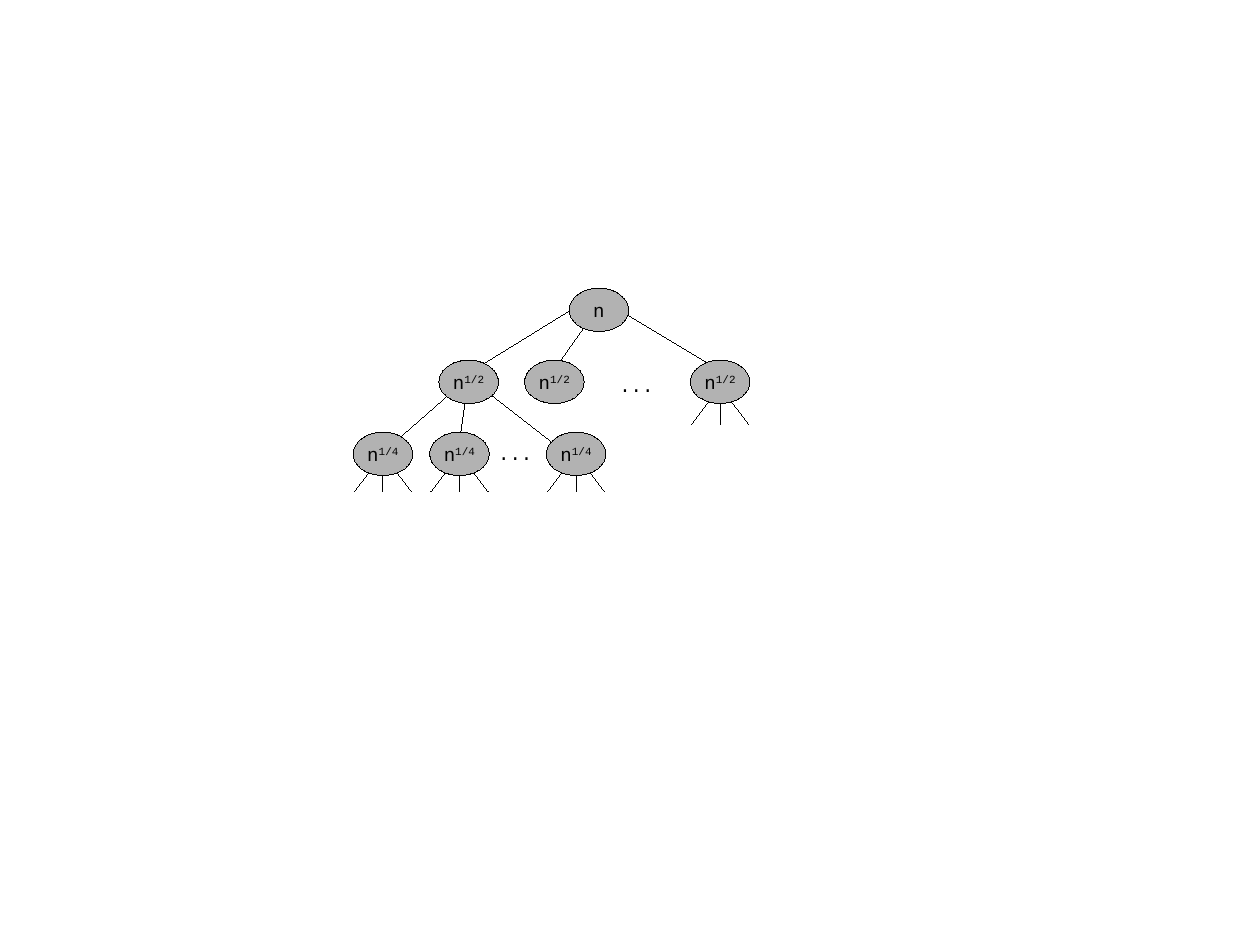
"""Draw a recursion tree whose problem size shrinks by a square root per level."""
from pptx import Presentation
from pptx.dml.color import RGBColor
from pptx.enum.shapes import MSO_CONNECTOR, MSO_SHAPE
from pptx.enum.text import MSO_ANCHOR, MSO_AUTO_SIZE, PP_ALIGN
from pptx.oxml.ns import qn
from pptx.util import Cm, Emu, Pt
from lxml.etree import SubElement

BLACK = RGBColor(0x00, 0x00, 0x00)
GRAY = RGBColor(0xB2, 0xB2, 0xB2)
PX = 9144
NODE_W, NODE_H = 52, 38

prs = Presentation()
prs.slide_width, prs.slide_height = Cm(28), Cm(21)
s = prs.slides.add_slide(prs.slide_layouts[6])


def add_line(shapes, x1, y1, x2, y2):
    ends = [Emu(v * PX) for v in (x1, y1, x2, y2)]
    line = shapes.add_connector(MSO_CONNECTOR.STRAIGHT, *ends)
    line.line.color.rgb = BLACK
    spPr = line._element.spPr
    spPr.find(qn("a:ln")).set("w", "0")
    SubElement(spPr, qn("a:effectLst"))


def style_runs(p):
    for r in p.runs:
        r.font.size = Pt(12)
        r.font.name = "Courier New"
        r.font.color.rgb = BLACK


for x, y in [(630, 338), (504, 397), (402, 397), (335, 397)]:
    stubs = s.shapes.add_group_shape()
    for dx in (-25, 0, 25):
        add_line(stubs.shapes, x + dx, y + 33, x, y)

edges = [
    (500, 400, 410, 330),
    (400, 400, 410, 330),
    (330, 400, 410, 330),
    (640, 330, 540, 270),
    (480, 330, 514, 282),
    (420, 320, 498, 272),
]
for edge in edges:
    add_line(s.shapes, *edge)

levels = [
    (252, "", [498]),
    (315, "1/2", [384, 459, 604]),
    (378, "1/4", [309, 376, 478]),
]
for top, exponent, lefts in levels:
    for left in lefts:
        sp = s.shapes.add_shape(MSO_SHAPE.OVAL, Emu(left * PX), Emu(top * PX),
                                Emu(NODE_W * PX), Emu(NODE_H * PX))
        sp.shadow.inherit = False
        sp.fill.solid()
        sp.fill.fore_color.rgb = GRAY
        sp.line.color.rgb = BLACK
        sp._element.spPr.find(qn("a:ln")).set("w", "0")
        tf = sp.text_frame
        tf.word_wrap = False
        tf.vertical_anchor = MSO_ANCHOR.MIDDLE
        tf.text = "n"
        p = tf.paragraphs[0]
        p.alignment = PP_ALIGN.CENTER
        if exponent:
            r = p.add_run()
            r.text = exponent
            r.font._element.set("baseline", "33000")
        style_runs(p)

for left, top in [(532, 322), (426, 381)]:
    sp = s.shapes.add_textbox(Emu(left * PX), Emu(top * PX), Emu(50 * PX), Emu(30 * PX))
    tf = sp.text_frame
    tf.word_wrap = True
    tf.auto_size = MSO_AUTO_SIZE.SHAPE_TO_FIT_TEXT
    tf.text = "..."
    style_runs(tf.paragraphs[0])

prs.save("out.pptx")
